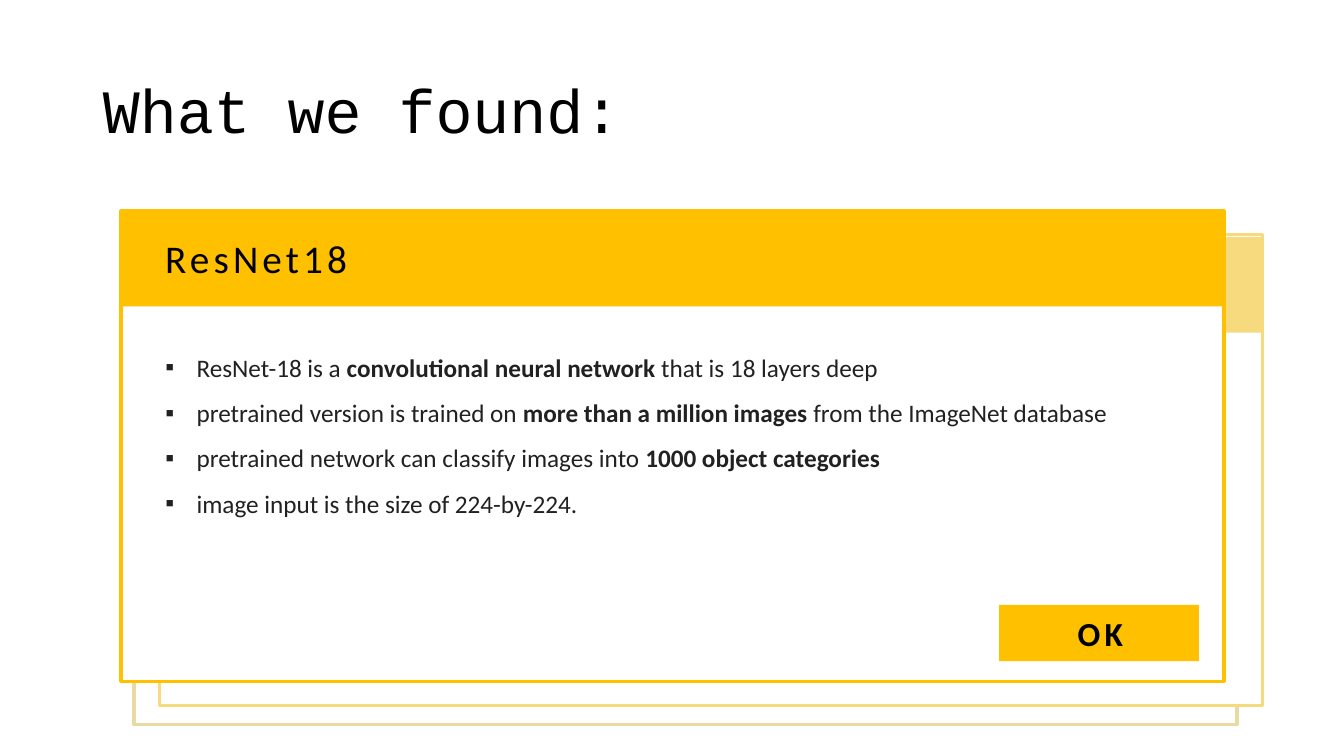
import pptx
import pptx.dml.color
import pptx.enum.shapes
import pptx.enum.text
import pptx.util
from pptx.util import Inches
from lxml import etree

COLORS = {
    "white": "FFFFFF",
    "black": "000000",
    "text": "212121",
    "amber": "FFC000",
    "light_amber": "F7DA7D",
    "sand": "EBD9A4",
}
BODY_FONT = "Calibri"
WINDOW_WIDTH, WINDOW_HEIGHT, BAR_HEIGHT = 10.94, 4.67, 0.95

# Each finding is a list of (text, bold) runs
FINDINGS = [
    [("ResNet-18 is a ", False), ("convolutional neural network ", True),
     ("that is 18 layers deep", False)],
    [("pretrained version is trained on ", False),
     ("more than a million images ", True),
     ("from the ImageNet database", False)],
    [("pretrained network can classify images into ", False),
     ("1000 object categories", True)],
    [("image input is the size of 224-by-224.", False)],
]


def rgb(name):
    return pptx.dml.color.RGBColor.from_string(COLORS[name])


def place(shape, left, top, width, height):
    shape.left, shape.top = Inches(left), Inches(top)
    shape.width, shape.height = Inches(width), Inches(height)


def add_rect(slide, left, top, width, height, fill, line=None):
    rect = slide.shapes.add_shape(
        pptx.enum.shapes.MSO_SHAPE.RECTANGLE,
        Inches(left), Inches(top), Inches(width), Inches(height))
    rect.shadow.inherit = False
    rect.fill.solid()
    rect.fill.fore_color.rgb = rgb(fill)
    if line:
        rect.line.color.rgb = rgb(line)
        rect.line.width = pptx.util.Pt(2.25)
    else:
        rect.line.fill.background()


def add_window(slide, left, top, color, bar_drop=0.02):
    add_rect(slide, left, top, WINDOW_WIDTH, WINDOW_HEIGHT, "white", color)
    add_rect(slide, left + 0.01, top + bar_drop, WINDOW_WIDTH - 0.01,
             BAR_HEIGHT, color)


def add_run(paragraph, text, size, color, font=BODY_FONT, bold=False, spacing=0):
    run = paragraph.add_run()
    run.text = text
    run.font.name = font
    run.font.size = pptx.util.Pt(size)
    run.font.bold = bold
    run.font.color.rgb = rgb(color)
    if spacing:
        run.font._element.set("spc", str(spacing * 100))


def add_label(slide, left, top, width, height, text, size, bold=False):
    label = slide.shapes.add_textbox(
        Inches(left), Inches(top), Inches(width), Inches(height))
    label.text_frame.word_wrap = True
    add_run(label.text_frame.paragraphs[0], text, size, "black",
            bold=bold, spacing=3)


def set_bullet(paragraph):
    properties = paragraph._p.get_or_add_pPr()
    properties.set("marL", str(Inches(0.31)))
    properties.set("indent", str(Inches(-0.31)))
    for tag, key, value in (("a:buFont", "typeface", "Arial"),
                            ("a:buChar", "char", "▪")):
        bullet = etree.SubElement(properties, pptx.oxml.ns.qn(tag))
        bullet.set(key, value)


def fill_title(title):
    place(title, 0.92, 0.4, 11.5, 1.45)
    frame = title.text_frame
    frame.auto_size = pptx.enum.text.MSO_AUTO_SIZE.NONE
    frame.vertical_anchor = pptx.enum.text.MSO_ANCHOR.MIDDLE
    heading = frame.paragraphs[0]
    heading.alignment = pptx.enum.text.PP_ALIGN.LEFT
    heading.line_spacing = 0.9
    add_run(heading, "What we found:", 44, "black", font="Courier New")


def fill_findings(body):
    place(body, 1.54, 3.29, 10.52, 1.87)
    frame = body.text_frame
    frame.auto_size = pptx.enum.text.MSO_AUTO_SIZE.NONE
    for index, runs in enumerate(FINDINGS):
        finding = frame.add_paragraph() if index else frame.paragraphs[0]
        finding.line_spacing = 1.5
        finding.space_before = finding.space_after = pptx.util.Pt(0)
        set_bullet(finding)
        for text, bold in runs:
            add_run(finding, text, 18, "text", bold=bold)


def main():
    presentation = pptx.Presentation()
    presentation.slide_width = Inches(13.33)
    presentation.slide_height = Inches(7.5)
    slide = presentation.slides.add_slide(presentation.slide_layouts[1])

    # Title
    fill_title(slide.shapes.title)

    # Stacked windows, back to front
    add_window(slide, 1.33, 2.52, "sand")
    add_window(slide, 1.58, 2.33, "light_amber")
    add_window(slide, 1.2, 2.09, "amber", bar_drop=0)

    # Front window: heading, findings and button
    add_label(slide, 1.54, 2.28, 7.9, 0.57, "ResNet18", 28)
    findings = slide.placeholders[1]
    fill_findings(findings)
    slide.shapes.element.append(findings.element)  # bring above the windows
    add_rect(slide, 9.91, 6, 1.98, 0.56, "amber")
    add_label(slide, 10.59, 6.03, 0.86, 0.5, "OK", 24, bold=True)

    presentation.save("out.pptx")


if __name__ == "__main__":
    main()
